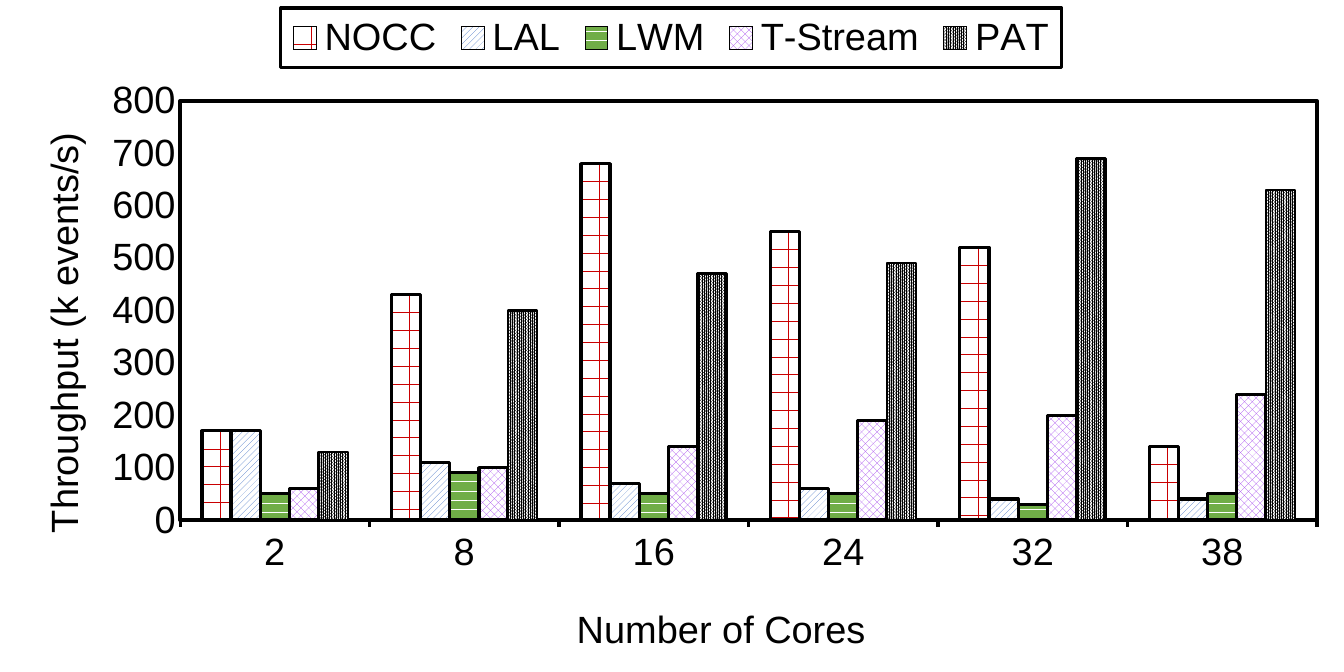
from lxml import etree
from pptx import Presentation
from pptx.chart.data import CategoryChartData
from pptx.dml.color import RGBColor
from pptx.enum import chart as ch
from pptx.enum.dml import MSO_PATTERN as Pat
from pptx.oxml import parse_xml
from pptx.oxml.ns import nsdecls, qn
from pptx.util import Cm, Pt

BLACK = RGBColor(0x00, 0x00, 0x00)
WHITE = RGBColor(0xFF, 0xFF, 0xFF)
RED = RGBColor(0xC9, 0x00, 0x01)
BLUE = RGBColor(0x44, 0x72, 0xC4)
GREEN = RGBColor(0x70, 0xAD, 0x47)
VIOLET = RGBColor(0xA3, 0x45, 0xEE)

CORES = ["2", "8", "16", "24", "32", "38"]
SERIES = [
    ("NOCC", [170, 430, 680, 550, 520, 140], Pat.DOTTED_GRID, RED, 2),
    ("LAL", [170, 110, 70, 60, 40, 40], Pat.WIDE_UPWARD_DIAGONAL, BLUE, 2),
    ("LWM", [50, 90, 50, 50, 30, 50], Pat.DARK_HORIZONTAL, GREEN, 2),
    ("T-Stream", [60, 100, 140, 190, 200, 240], Pat.PERCENT_50, VIOLET, 2),
    ("PAT", [130, 400, 470, 490, 690, 630], Pat.PERCENT_90, BLACK, 1.5),
]
FONT = {"name": "Arial", "size": Pt(24), "bold": False}


def style(item, form):
    for key, val in form.items():
        setattr(item, key, val)


def ink(font):
    style(font, FONT)
    font.color.rgb = BLACK


def rule(line, width):
    line.color.rgb = BLACK
    line.width = Pt(width)


def place(node, index, inner=False, **spots):
    for old in node.findall(qn("c:layout")):
        node.remove(old)
    layout = parse_xml(f"<c:layout {nsdecls('c')}><c:manualLayout/></c:layout>")
    modes = {"xMode": "edge", "yMode": "edge"}
    if inner:
        modes = {"layoutTarget": "inner", **modes}
    for key, val in {**modes, **spots}.items():
        etree.SubElement(layout[0], qn(f"c:{key}")).set("val", str(val))
    node.insert(index, layout)


def border(width):
    return parse_xml(
        f'<c:spPr {nsdecls("c", "a")}><a:noFill/><a:ln w="{Pt(width)}">'
        f'<a:solidFill><a:srgbClr val="{BLACK}"/></a:solidFill></a:ln></c:spPr>')


def add_title(axis, words, node, x, y):
    frame = axis.axis_title.text_frame
    frame.text = words
    ink(frame.paragraphs[0].runs[0].font)
    place(node.find(qn("c:title")), 1, x=x, y=y)


def add_bars(slide, left, top, width, height):
    data = CategoryChartData()
    data.categories = CORES
    for name, vals, *_ in SERIES:
        data.add_series(name, vals)
    kind = ch.XL_CHART_TYPE.COLUMN_CLUSTERED
    chart = slide.shapes.add_chart(kind, left, top, width, height, data).chart
    style(chart, {"has_title": False, "has_legend": True})
    ink(chart.font)

    plot = chart.plots[0]
    style(plot, {"gap_width": 150, "overlap": 0, "vary_by_categories": False})
    for bar, (_, _, pattern, color, edge) in zip(plot.series, SERIES):
        fill = bar.format.fill
        fill.patterned()
        fill.pattern = pattern
        fill.fore_color.rgb = color
        fill.back_color.rgb = WHITE
        rule(bar.format.line, edge)
        bar.invert_if_negative = False

    area = chart._chartSpace.chart.plotArea
    place(area, 0, True, x=0.134, y=0.15, w=0.846, h=0.624)
    area.append(border(2.25))

    cat, val = chart.category_axis, chart.value_axis
    none = ch.XL_TICK_MARK.NONE
    style(cat, {"major_tick_mark": ch.XL_TICK_MARK.OUTSIDE,
                "minor_tick_mark": none, "has_major_gridlines": False})
    style(val, {"major_tick_mark": none, "minor_tick_mark": none,
                "has_major_gridlines": False, "minimum_scale": 0,
                "maximum_scale": 800, "major_unit": 100})
    rule(cat.format.line, 2)
    val.format.line.fill.background()
    for axis in (cat, val):
        ink(axis.tick_labels.font)
    row, col = area.find(qn("c:catAx")), area.find(qn("c:valAx"))
    add_title(cat, "Number of Cores", row, 0.424, 0.89)
    add_title(val, "Throughput (k events/s)", col, 0.024, 0.187)
    turn = col.find(qn("c:title")).find(".//" + qn("a:bodyPr"))
    turn.set("rot", "-5400000")
    turn.set("vert", "horz")

    legend = chart.legend
    style(legend, {"position": ch.XL_LEGEND_POSITION.TOP,
                   "include_in_layout": False})
    ink(legend.font)
    key = chart._chartSpace.chart.find(qn("c:legend"))
    place(key, 1, x=0.209, y=0.012, w=0.581, h=0.088)
    key.find(qn("c:txPr")).addprevious(border(2))


def main():
    deck = Presentation()
    style(deck, {"slide_width": Cm(30), "slide_height": Cm(15)})
    slide = deck.slides.add_slide(deck.slide_layouts[6])
    add_bars(slide, Cm(0), Cm(0), Cm(30), Cm(15))
    deck.save("out.pptx")


if __name__ == "__main__":
    main()
